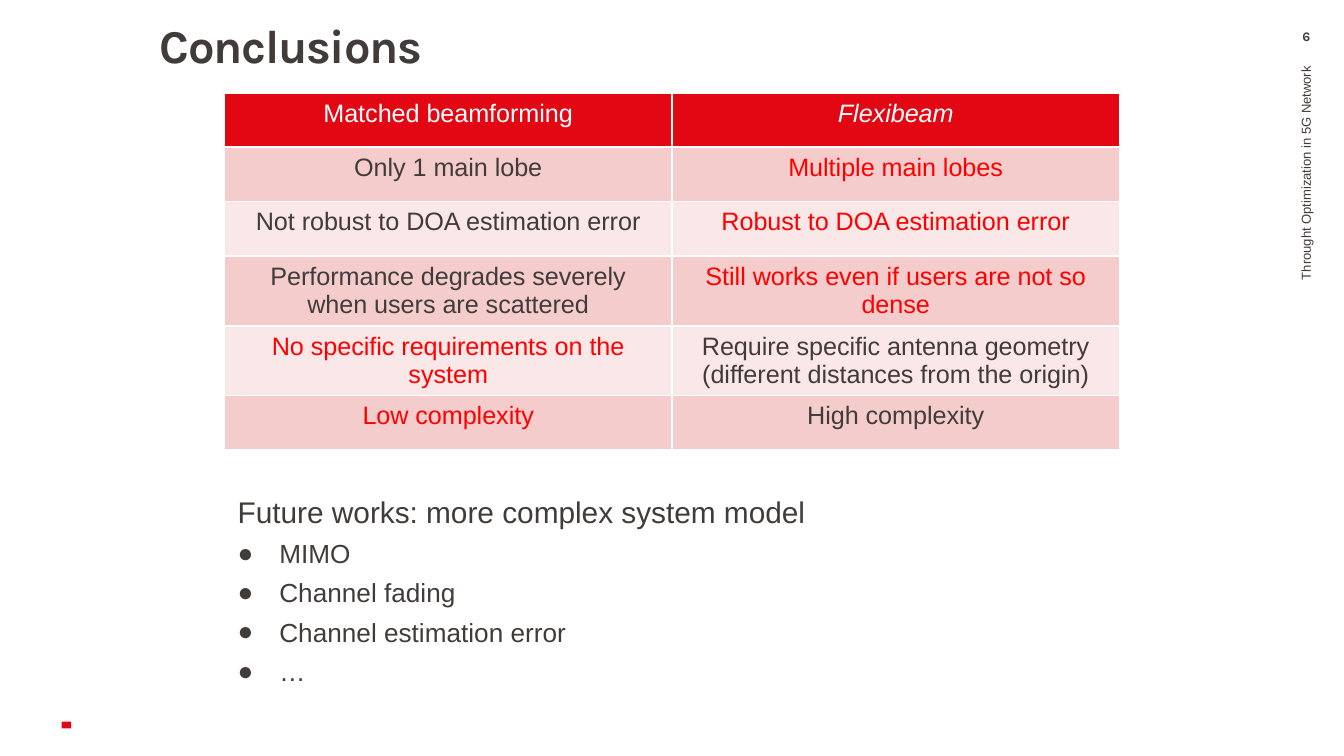
"""Build the conclusions slide comparing two beamforming methods."""
from lxml import etree
from pptx import Presentation
from pptx import util as u
from pptx.dml.color import RGBColor
from pptx.enum import shapes, text
from pptx.oxml.ns import qn

RED, BRIGHT, DARK, WHITE = "E30613", "FF0000", "413C3A", "FFFFFF"
BANDS = ["F4CCCC", "FAE7E7"]
HEADER = ["Matched beamforming", "Flexibeam"]
COMPARISON = [
    ("Only 1 main lobe", "Multiple main lobes", 1),
    ("Not robust to DOA estimation error", "Robust to DOA estimation error", 1),
    ("Performance degrades severely when users are scattered",
     "Still works even if users are not so dense", 1),
    ("No specific requirements on the system",
     "Require specific antenna geometry (different distances from the origin)", 0),
    ("Low complexity", "High complexity", 0),
]
FUTURE_WORKS = ["MIMO", "Channel fading", "Channel estimation error", "…"]


def paint(fill, color):
    fill.solid()
    fill.fore_color.rgb = RGBColor.from_string(color)


def write(para, words, size=14, font="Arial", color=DARK, bold=False, italic=False,
          align="LEFT", line=1.0, tracking=0):
    para.alignment = getattr(text.PP_ALIGN, align)
    para.line_spacing = line
    span = para.add_run()
    span.text = words
    span.font.size, span.font.name = u.Pt(size), font
    span.font.bold, span.font.italic = bold, italic
    paint(span.font.fill, color)
    if tracking:
        span.font._element.set("spc", str(round(tracking * 100)))


def add_bullet(para, indent=0.31):
    props = para._p.get_or_add_pPr()
    props.set("marL", str(u.Inches(indent)))
    props.set("indent", str(-u.Inches(indent)))
    etree.SubElement(props, qn("a:buFont")).set("typeface", "Arial")
    etree.SubElement(props, qn("a:buChar")).set("char", "●")


def add_borders(cell, color, width):
    props = cell._tc.get_or_add_tcPr()
    for index, side in enumerate(["lnL", "lnR", "lnT", "lnB"]):
        border = etree.Element(qn(f"a:{side}"), w=str(u.Pt(width)))
        solid = etree.SubElement(border, qn("a:solidFill"))
        etree.SubElement(solid, qn("a:srgbClr")).set("val", color)
        props.insert(index, border)


class SlideBuilder:
    def __init__(self, deck):
        self.page = deck.slides.add_slide(deck.slide_layouts[6])

    def marker(self, left, top, width, height):
        shape = self.page.shapes.add_shape(
            shapes.MSO_SHAPE.RECTANGLE, *map(u.Inches, (left, top, width, height)))
        shape.shadow.inherit = False
        paint(shape.fill, RED)
        shape.line.fill.background()

    def textbox(self, left, top, width, height, insets=(0.1, 0.05, 0.1, 0.05),
                rotation=0, anchor="TOP"):
        box = self.page.shapes.add_textbox(*map(u.Inches, (left, top, width, height)))
        box.rotation = rotation
        frame = box.text_frame
        frame.word_wrap = True
        frame.vertical_anchor = getattr(text.MSO_ANCHOR, anchor)
        (frame.margin_left, frame.margin_top,
         frame.margin_right, frame.margin_bottom) = map(u.Inches, insets)
        return frame

    def table(self, left, top, width, height):
        grid = self.page.shapes.add_table(
            len(COMPARISON) + 1, len(HEADER), *map(u.Inches, (left, top, width, height))).table
        grid.horz_banding = grid.first_row = False
        for column, words in enumerate(HEADER):
            self.cell(grid.cell(0, column), words, RED, color=WHITE, italic=column == 1)
        for row, (*entries, better) in enumerate(COMPARISON):
            for column, words in enumerate(entries):
                self.cell(grid.cell(row + 1, column), words, BANDS[row % 2],
                          color=BRIGHT if column == better else DARK)

    def cell(self, cell, words, fill, **style):
        paint(cell.fill, fill)
        add_borders(cell, WHITE, 1)
        cell.margin_bottom = u.Inches(0.02)
        write(cell.text_frame.paragraphs[0], words, size=13.5, align="CENTER", **style)


def main():
    deck = Presentation()
    deck.slide_width, deck.slide_height = u.Inches(10), u.Inches(10 * 9 / 16)
    slide = SlideBuilder(deck)
    slide.marker(0.46, 5.37, 0.07, 0.05)

    title = slide.textbox(0.99, 0.2, 4.01, 0.38, insets=(0.2, 0, 0.08, 0.05))
    write(title.paragraphs[0], "Conclusions", size=25.2, font="Karla", bold=True,
          line=0.8, tracking=-0.7)
    topic = slide.textbox(7.78, 2.05, 3.87, 0.56, rotation=270, anchor="MIDDLE")
    write(topic.paragraphs[0], "Throught Optimization in 5G Network", size=7, align="RIGHT")
    number = slide.textbox(9.44, 0.21, 0.56, 0.18, insets=(0.1, 0, 0.1, 0))
    write(number.paragraphs[0], "6", size=7, font="Karla", bold=True, align="CENTER")

    slide.table(1.67, 0.69, 6.66, 2.43)

    future = slide.textbox(1.67, 3.56, 5.41, 1.59)
    write(future.paragraphs[0], "Future works: more complex system model", size=16, line=1.25)
    for words in FUTURE_WORKS:
        para = future.add_paragraph()
        write(para, words, line=1.25)
        add_bullet(para)
    deck.save("out.pptx")


if __name__ == "__main__":
    main()
